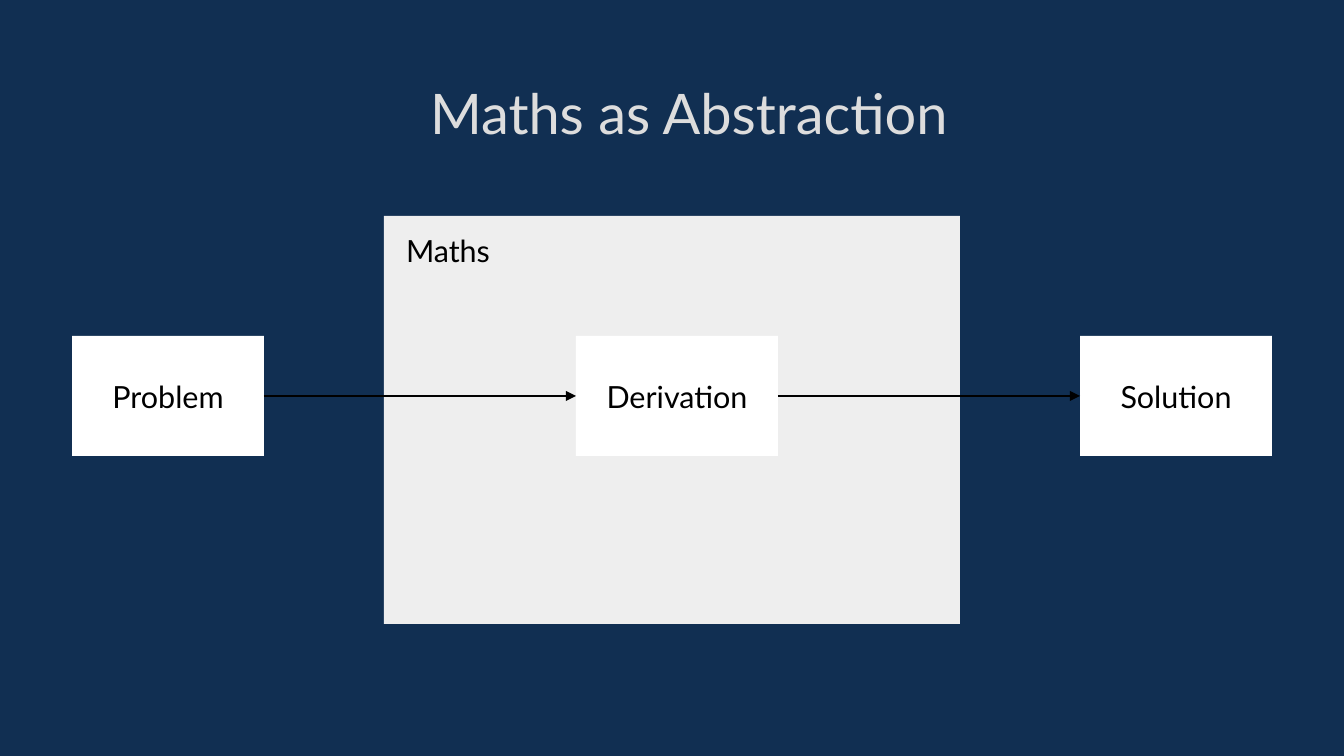
from pptx import Presentation
from pptx.dml.color import RGBColor
from pptx.enum.shapes import MSO_CONNECTOR, MSO_SHAPE
from pptx.enum.text import MSO_ANCHOR, PP_ALIGN
from pptx.oxml.ns import qn
from pptx.util import Pt
from lxml import etree

RECT = MSO_SHAPE.RECTANGLE
STRAIGHT = MSO_CONNECTOR.STRAIGHT
LEFT, CENTER = PP_ALIGN.LEFT, PP_ALIGN.CENTER
TOP, MIDDLE = MSO_ANCHOR.TOP, MSO_ANCHOR.MIDDLE
LEFT_SIDE, RIGHT_SIDE = 1, 3
EMU_PER_PX = 914400 // 122


def px(*lengths):
    return [n * EMU_PER_PX for n in lengths]


def color(hex_text):
    return RGBColor.from_string(hex_text)


class Diagram:
    FONT = "Lato"
    NAVY, PALE, WHITE, BLACK, TITLE = "112F52", "EEEEEE", "FFFFFF", "000000", "DDDDDD"

    def __init__(self, prs):
        self.s = prs.slides.add_slide(prs.slide_layouts[6])
        fill = self.s.background.fill
        fill.solid()
        fill.fore_color.rgb = color(self.NAVY)

    def add_text(self, sp, text, size, hex_text, align, anchor, wrap=False):
        tf = sp.text_frame
        tf.word_wrap = wrap
        tf.vertical_anchor = anchor
        p = tf.paragraphs[0]
        p.alignment = align
        r = p.add_run()
        r.text = text
        r.font.name = self.FONT
        r.font.size = Pt(size)
        r.font.color.rgb = color(hex_text)

    def rect(self, box, fill):
        sp = self.s.shapes.add_shape(RECT, *px(*box))
        sp.shadow.inherit = False
        sp.fill.solid()
        sp.fill.fore_color.rgb = color(fill)
        sp.line.fill.background()
        return sp

    def step(self, text, box):
        sp = self.rect(box, self.WHITE)
        self.add_text(sp, text, 18, self.BLACK, CENTER, MIDDLE)
        return sp

    def label(self, text, box):
        sp = self.s.shapes.add_textbox(*px(*box))
        self.add_text(sp, text, 18, self.BLACK, LEFT, TOP)

    def title(self, text, box, indent):
        sp = self.s.shapes.add_textbox(*px(*box))
        self.add_text(sp, text, 33, self.TITLE, CENTER, MIDDLE, wrap=True)
        tf = sp.text_frame
        tf.margin_left, = px(indent)
        tf.margin_right = tf.margin_top = tf.margin_bottom = 0

    def arrow(self, start, end):
        """Join the right side of one step to the left side of the next."""
        c = self.s.shapes.add_connector(STRAIGHT, 0, 0, 0, 0)
        c.begin_connect(start, RIGHT_SIDE)
        c.end_connect(end, LEFT_SIDE)
        c.line.color.rgb = color(self.BLACK)
        c.line.width = Pt(1.42)
        props = c._element.spPr
        etree.SubElement(props.find(qn("a:ln")), qn("a:tailEnd"), type="triangle")
        etree.SubElement(props, qn("a:effectLst"))


def main():
    prs = Presentation()
    prs.slide_width, prs.slide_height = px(1344, 756)
    d = Diagram(prs)
    d.rect((384, 216, 576, 408), d.PALE)
    d.title("Maths as Abstraction", (79, 79, 1191, 67), 29)
    d.label("Maths", (394, 226, 109, 49))
    steps = [d.step(text, (x, 336, w, 120)) for text, x, w in (
        ("Problem", 72, 192), ("Derivation", 576, 202), ("Solution", 1080, 192))]
    for start, end in zip(steps, steps[1:]):
        d.arrow(start, end)
    prs.save("out.pptx")


if __name__ == "__main__":
    main()
